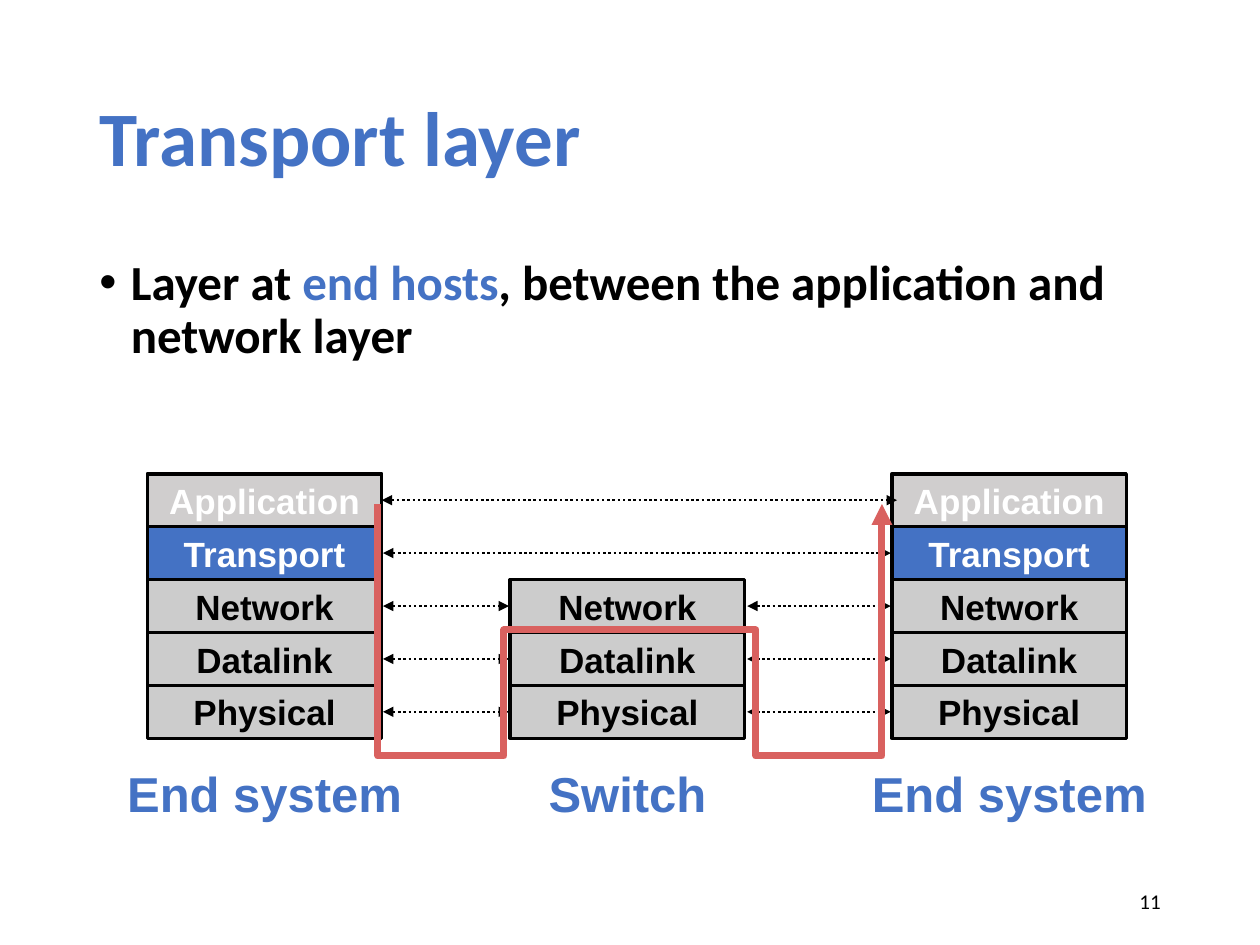
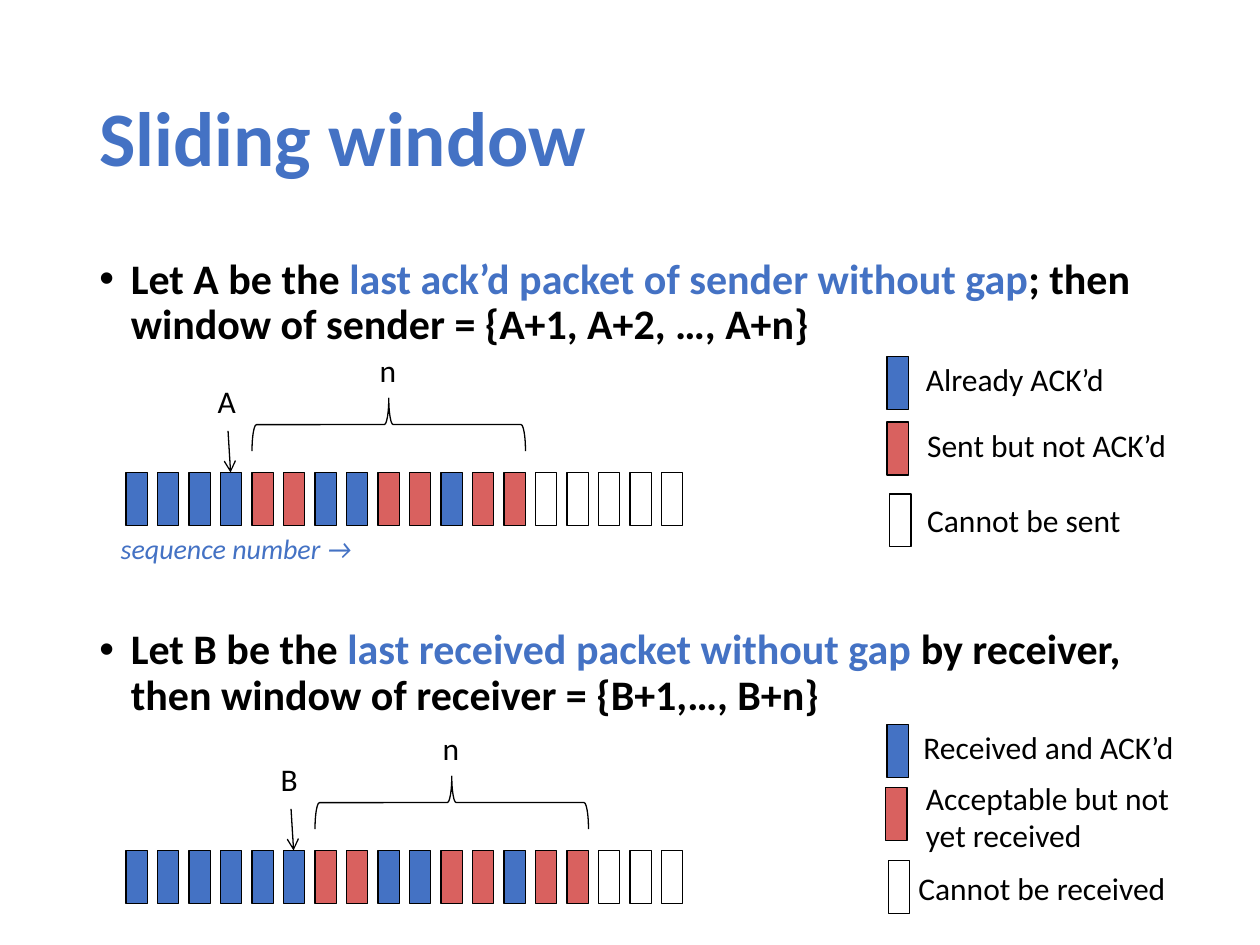
from pptx import Presentation
from pptx.dml.color import RGBColor
from pptx.enum import dml, shapes, text
from pptx.oxml import ns, xmlchemy
from pptx.util import Inches, Pt

BLUE = RGBColor(0x44, 0x72, 0xC4)
RED = RGBColor(0xD9, 0x61, 0x5F)
GREY = RGBColor(0xCC, 0xCC, 0xCC)
PALE = RGBColor(0xD0, 0xCE, 0xCE)
BLACK = RGBColor(0, 0, 0)
WHITE = RGBColor(0xFF, 0xFF, 0xFF)

LEFT, WIDE = 0.69, 8.62
CELL_W, CELL_H, PITCH = 0.17, 0.42, 0.25
ROW_X = 1
WINDOW = 9

LAYERS = [  # name, fill, text colour
    ("Application", PALE, WHITE),
    ("Transport", BLUE, WHITE),
    ("Network", GREY, BLACK),
    ("Datalink", GREY, BLACK),
    ("Physical", GREY, BLACK),
]
LAYER_TOP, LAYER_W, LAYER_H = 3.76, 1.86, 0.42
SYSTEMS = [  # name, left, first layer
    ("End system", 1.17, 0),
    ("Switch", 4.05, 2),
    ("End system", 7.08, 0),
]
ROUTE = [(2.92, 3.78), (2.92, 5.53), (3.09, 5.67), (4.47, 5.67), (4.47, 4.93),
         (5.59, 4.93), (5.59, 5.67), (6.97, 5.67), (7.15, 5.53), (7.15, 3.78)]

CELLS = {"A": BLUE, "S": RED, "W": WHITE}
SENDER = "AAAASSAASSASSWWWWW"
RECEIVER = "AAAAAASSAASSASSWWW"
LEGENDS = [  # cell, its left and top, label, its left and top
    ("A", 7.04, 2.83, "Already ACK’d", 7.25, 2.81),
    ("S", 7.04, 3.35, "Sent but not ACK’d", 7.26, 3.33),
    ("W", 7.06, 3.92, "Cannot be sent", 7.26, 3.93),
    ("A", 7.04, 5.75, "Received and ACK’d", 7.23, 5.73),
    ("S", 7.03, 6.25, "Acceptable but not yet received", 7.25, 6.13),
    ("W", 7.05, 6.83, "Cannot be received", 7.19, 6.85),
]


def apply(item, values):
    for key, value in values.items():
        setattr(item, key, value)


def write(par, parts, size, name="Calibri", **style):
    """Add (words, colour) parts as runs of one paragraph."""
    for words, color in parts:
        run = par.add_run()
        run.text = words
        apply(run.font, {"size": Pt(size), "name": name, **style})
        run.font.color.rgb = color


def add_text(slide, box, parts, size, align=None, anchor=text.MSO_ANCHOR.TOP, **style):
    frame = slide.shapes.add_textbox(*map(Inches, box)).text_frame
    apply(frame, {"word_wrap": True, "vertical_anchor": anchor})
    par = frame.paragraphs[0]
    par.alignment = align
    write(par, parts, size, **style)
    return par


def add_title(slide, words):
    par = add_text(slide, (LEFT, 0.4, WIDE, 1.45), [(words, BLUE)], 44,
                   anchor=text.MSO_ANCHOR.MIDDLE, bold=True)
    par.line_spacing = 0.9


def add_bullet(slide, top, parts, size):
    par = add_text(slide, (LEFT, top, WIDE, 1), parts, size, bold=True)
    apply(par, {"line_spacing": 0.9, "space_before": Pt(10)})
    props = par._p.get_or_add_pPr()
    props.set("marL", str(Inches(0.25)))
    props.set("indent", str(Inches(-0.25)))
    for tag, key, value in (("a:buFont", "typeface", "Arial"), ("a:buChar", "char", "•")):
        add_node(props, tag, **{key: value})


def add_node(parent, tag, **attrs):
    node = xmlchemy.OxmlElement(tag)
    for key, value in attrs.items():
        node.set(key, value)
    parent.append(node)


def set_line(item, color, width):
    item.line.color.rgb = color
    item.line.width = Pt(width)


def add_heads(item, head=None, tail=None):
    line = item.element.spPr.find(ns.qn("a:ln"))
    for tag, kind in (("a:headEnd", head), ("a:tailEnd", tail)):
        if kind:
            add_node(line, tag, type=kind)


def add_box(slide, box, fill, width):
    rect = slide.shapes.add_shape(shapes.MSO_SHAPE.RECTANGLE, *map(Inches, box))
    rect.shadow.inherit = False
    rect.fill.solid()
    rect.fill.fore_color.rgb = fill
    set_line(rect, BLACK, width)
    return rect


def add_arrow(slide, start, end, width, head=None, tail=None, dash=None):
    line = slide.shapes.add_connector(
        shapes.MSO_CONNECTOR.STRAIGHT, *map(Inches, start + end))
    set_line(line, BLACK, width)
    if dash:
        line.line.dash_style = dash
    add_heads(line, head, tail)
    add_node(line.element.spPr, "a:effectLst")


def add_stack(slide, name, left, first):
    """Draw one system's layers, from the given first one down, and its name."""
    for i, (layer, fill, color) in enumerate(LAYERS[first:], first):
        box = (left, LAYER_TOP + i * LAYER_H, LAYER_W, LAYER_H)
        frame = add_box(slide, box, fill, 2).text_frame
        frame.vertical_anchor = text.MSO_ANCHOR.MIDDLE
        par = frame.paragraphs[0]
        par.alignment = text.PP_ALIGN.CENTER
        write(par, [(layer, color)], 20, "Arial", bold=True)
    add_text(slide, (left - 0.32, 6.01, 2.5, 0.57), [(name, BLUE)], 28,
             text.PP_ALIGN.CENTER, name="Arial", bold=True)


def add_links(slide):
    """Join equal layers of neighbouring systems."""
    for i in range(len(LAYERS)):
        y = LAYER_TOP + (i + 0.5) * LAYER_H
        if i == 0:
            spans = [(3.03, 7.12)]
        elif i == 1:
            spans = [(3.04, 7.07)]
        else:
            spans = [(3.04, 4.04), (5.93, 7.07)]
        for x1, x2 in spans:
            add_arrow(slide, (x1, y), (x2, y), 1.5, "triangle", "triangle",
                      dml.MSO_LINE.ROUND_DOT)


def add_route(slide):
    path = slide.shapes.build_freeform(*ROUTE[0], scale=Inches(1))
    path.add_line_segments(ROUTE[1:], close=False)
    route = path.convert_to_shape()
    route.shadow.inherit = False
    route.fill.background()
    set_line(route, RED, 4)
    add_heads(route, tail="triangle")


def add_cell(slide, left, top, kind):
    add_box(slide, (left, top, CELL_W, CELL_H), CELLS[kind], 0.75)


def add_window(slide, top, cells, mark, last):
    """Draw a packet row, a mark on its last packet without gap, and the window."""
    for i, kind in enumerate(cells):
        add_cell(slide, ROW_X + i * PITCH, top, kind)
    start = ROW_X + last * PITCH
    span = (WINDOW - 1) * PITCH + CELL_W
    mid = start + span / 2
    brace = slide.shapes.add_shape(
        shapes.MSO_SHAPE.LEFT_BRACE, Inches(mid - CELL_H / 2),
        Inches(top - 0.38 - span / 2), Inches(CELL_H), Inches(span))
    brace.rotation = 90
    brace.shadow.inherit = False
    brace.fill.background()
    set_line(brace, BLACK, 0.75)
    add_text(slide, (mid - 0.17, top - 1.01, 0.37, 0.44), [("n", BLACK)], 18)
    add_text(slide, (start - 0.37, top - 0.77, 0.37, 0.44), [(mark, BLACK)], 18)
    add_arrow(slide, (start - 0.19, top - 0.33), (start - 0.17, top), 0.75, tail="arrow")


def draw_layers(slide):
    add_title(slide, "Transport layer")
    add_bullet(slide, 2, [("Layer at ", BLACK), ("end hosts", BLUE),
                          (", between the application and network layer", BLACK)], 28)
    add_text(slide, (7.06, 6.95, 2.25, 0.4), [("11", BLACK)], 12,
             text.PP_ALIGN.RIGHT, text.MSO_ANCHOR.MIDDLE)
    for system in SYSTEMS:
        add_stack(slide, *system)
    add_links(slide)
    add_route(slide)


def draw_sliding(slide):
    add_title(slide, "Sliding window")
    add_bullet(slide, 2, [
        ("Let A be the ", BLACK), ("last ack’d packet of sender without gap", BLUE),
        ("; then window of sender = {A+1, A+2, …, A+n}", BLACK)], 24)
    add_bullet(slide, 4.94, [
        ("Let B be the ", BLACK), ("last received packet without gap", BLUE),
        (" by receiver, then window of receiver = {B+1,…, B+n}", BLACK)], 24)
    add_window(slide, 3.75, SENDER, "A", 4)
    add_window(slide, 6.75, RECEIVER, "B", 6)
    add_text(slide, (0.86, 4.17, 2.89, 0.37), [("sequence number →", BLUE)], 16, italic=True)
    for kind, x, y, label, left, top in LEGENDS:
        add_cell(slide, x, y, kind)
        add_text(slide, (left, top, 2.31, 0.4), [(label, BLACK)], 18)


def main():
    deck = Presentation()
    apply(deck, {"slide_width": Inches(10), "slide_height": Inches(7.5)})
    for draw in (draw_layers, draw_sliding):
        draw(deck.slides.add_slide(deck.slide_layouts[6]))
    deck.save("out.pptx")


if __name__ == "__main__":
    main()
